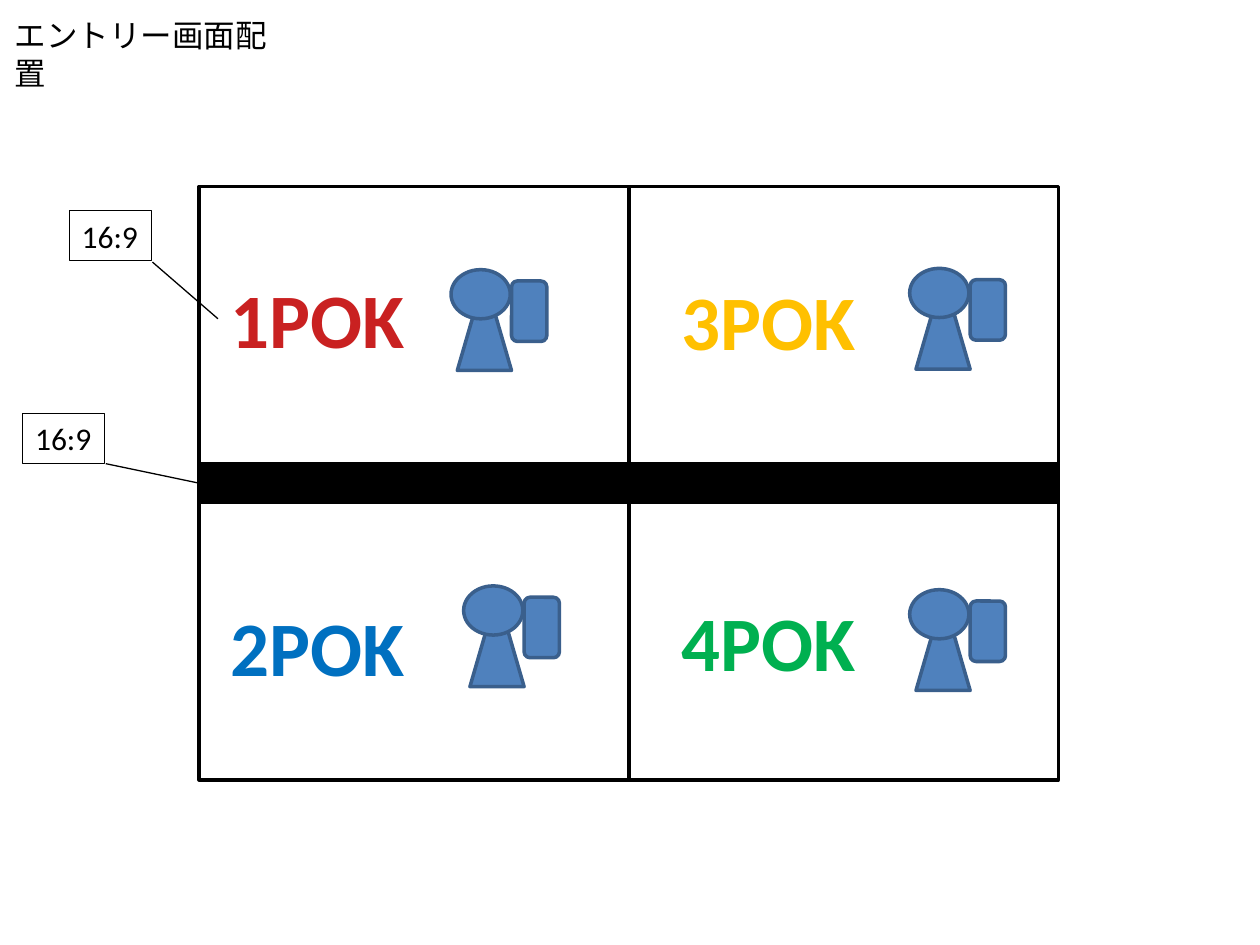
from dataclasses import dataclass

from lxml import etree
from pptx import Presentation
from pptx.dml.color import RGBColor
from pptx.enum.shapes import MSO_CONNECTOR, MSO_SHAPE
from pptx.enum.text import MSO_AUTO_SIZE
from pptx.oxml.ns import qn
from pptx.util import Inches, Pt

RECT, TRIANGLE = MSO_SHAPE.RECTANGLE, MSO_SHAPE.ISOSCELES_TRIANGLE
OVAL, ROUNDED = MSO_SHAPE.OVAL, MSO_SHAPE.ROUNDED_RECTANGLE
STRAIGHT = MSO_CONNECTOR.STRAIGHT
FIT_SHAPE = MSO_AUTO_SIZE.SHAPE_TO_FIT_TEXT
LEFT_SIDE = 1


@dataclass(frozen=True)
class Theme:
    font: str = "Calibri"
    body_size: float = 18
    player_size: float = 44
    thick: float = 2
    thin: float = 0.75
    text_outline: float = 1.42
    black: str = "000000"
    white: str = "FFFFFF"
    figure: str = "4F81BD"
    figure_edge: str = "3A5F8C"
    red: str = "C92121"
    red_edge: str = "D73A36"
    blue: str = "0070C0"
    yellow: str = "FFC000"
    green: str = "00B050"


class EntryScreen:
    def __init__(self, slide, theme):
        self.slide, self.theme = slide, theme

    def shape(self, kind, box, fill, edge, weight, parent=None):
        shape = (parent or self.slide).shapes.add_shape(kind, *map(Inches, box))
        shape.shadow.inherit = False
        shape.fill.solid()
        shape.fill.fore_color.rgb = RGBColor.from_string(fill)
        shape.line.color.rgb = RGBColor.from_string(edge)
        shape.line.width = Pt(weight)
        return shape

    def panel(self, box, fill):
        return self.shape(RECT, box, fill, self.theme.black, self.theme.thick)

    def text(self, box, wording, size, color, bold=False, wrap=False):
        label = self.slide.shapes.add_textbox(*map(Inches, box))
        frame = label.text_frame
        frame.word_wrap = wrap
        frame.auto_size = FIT_SHAPE
        frame.text = wording
        font = frame.paragraphs[0].font
        font.name, font.size, font.bold = self.theme.font, Pt(size), bold
        font.color.rgb = RGBColor.from_string(color)
        return label

    def player_name(self, left, top, wording, color, edge):
        label = self.text((left, top, 1.6, 0.84), wording,
                          self.theme.player_size, color, bold=True)
        # The outline of the letters is a line element at the head of rPr
        properties = label.text_frame.paragraphs[0].runs[0].font._element
        outline = etree.Element(qn("a:ln"), w=str(Pt(self.theme.text_outline)))
        fill = etree.SubElement(outline, qn("a:solidFill"))
        etree.SubElement(fill, qn("a:srgbClr"), val=edge)
        properties.insert(0, outline)

    def player_figure(self, left, top):
        figure = self.slide.shapes.add_group_shape()
        parts = [
            (TRIANGLE, 0.05, 0.06, 0.43, 0.74),
            (OVAL, 0, 0, 0.47, 0.39),
            (ROUNDED, 0.48, 0.09, 0.28, 0.48),
        ]
        for kind, dx, dy, width, height in parts:
            self.shape(kind, (left + dx, top + dy, width, height),
                       self.theme.figure, self.theme.figure_edge,
                       self.theme.thick, figure)

    def ratio_note(self, left, top, wording):
        note = self.text((left, top, 0.65, 0.4), wording,
                         self.theme.body_size, self.theme.black)
        note.line.color.rgb = RGBColor.from_string(self.theme.black)
        note.line.width = Pt(self.theme.thin)

    def leader(self, start, end):
        line = self.slide.shapes.add_connector(
            STRAIGHT, *map(Inches, (*start, *end)))
        line.line.color.rgb = RGBColor.from_string(self.theme.black)
        line.line.width = Pt(self.theme.thin)
        etree.SubElement(line._element.spPr, qn("a:effectLst"))
        return line


def main():
    theme = Theme()
    deck = Presentation()
    deck.slide_width, deck.slide_height = Inches(10), Inches(7.5)
    screen = EntryScreen(deck.slides.add_slide(deck.slide_layouts[6]), theme)

    # Title
    screen.text((0.02, 0.08, 2.25, 0.4), "エントリー画面配置",
                theme.body_size, theme.black, wrap=True)

    # Four player panels around the dividing band
    left, top, width, height, band_height = 1.58, 1.48, 3.41, 2.2, 0.31
    for column in (1, 0):
        for row in (0, 1):
            screen.panel((left + column * width,
                          top + row * (height + band_height),
                          width, height), theme.white)
    band = screen.panel((left, top + height, 2 * width, band_height),
                        theme.black)

    # Players: name, colours, name position, figure position
    players = [
        ("1POK", theme.red, theme.red_edge, (1.73, 2.11), (3.58, 2.14)),
        ("2POK", theme.blue, theme.blue, (1.73, 4.71), (3.68, 4.65)),
        ("3POK", theme.yellow, theme.yellow, (5.31, 2.12), (7.22, 2.13)),
        ("4POK", theme.green, theme.green, (5.31, 4.67), (7.22, 4.68)),
    ]
    for name, color, edge, name_at, figure_at in players:
        screen.player_figure(*figure_at)
        screen.player_name(*name_at, name, color, edge)

    # Aspect ratio notes with their leaders
    screen.ratio_note(0.18, 3.28, "16:9")
    band_leader = screen.leader((0.84, 3.68), (1.58, 3.83))
    band_leader.end_connect(band, LEFT_SIDE)
    screen.ratio_note(0.55, 1.67, "16:9")
    screen.leader((1.21, 2.08), (1.73, 2.53))

    deck.save("out.pptx")


if __name__ == "__main__":
    main()
